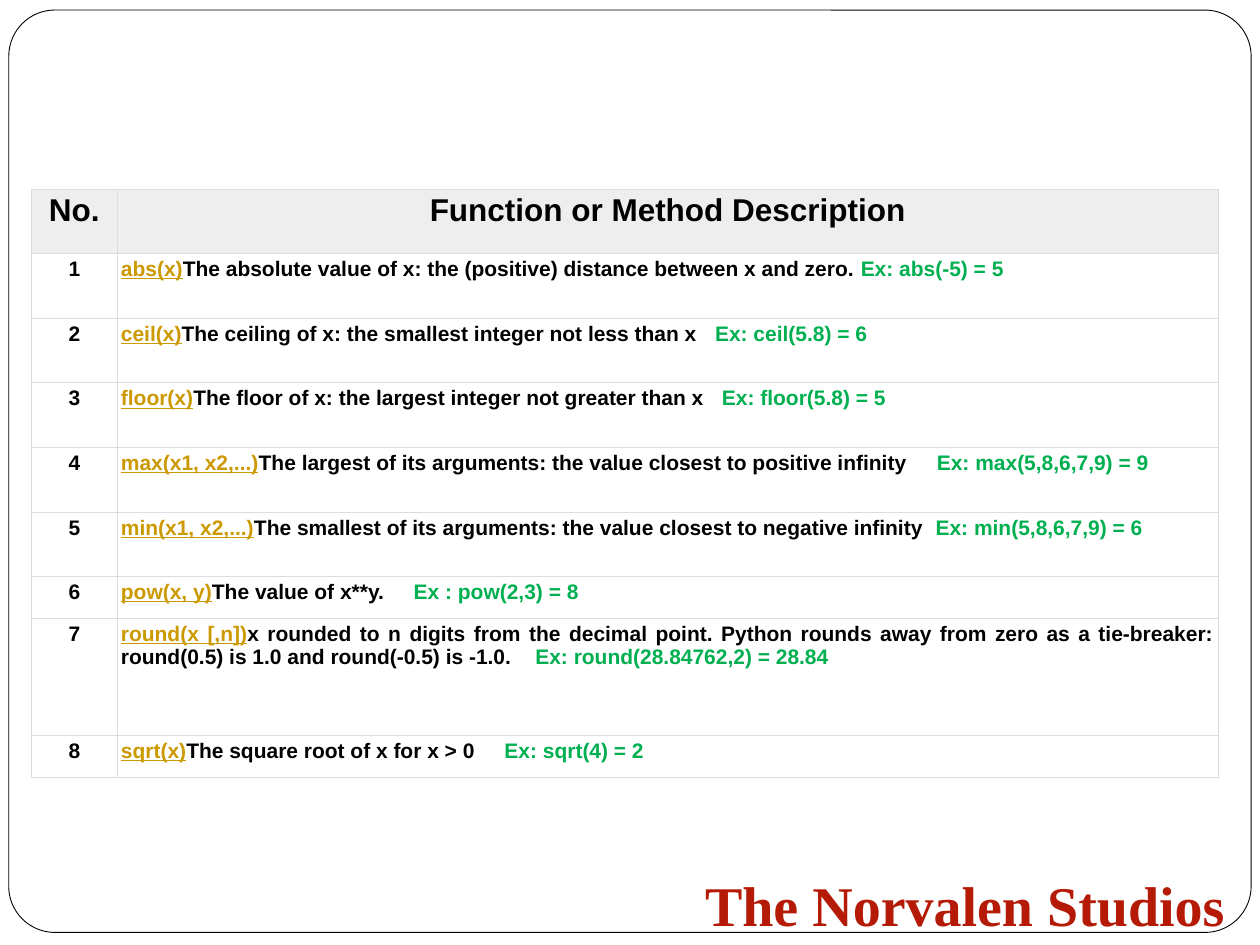
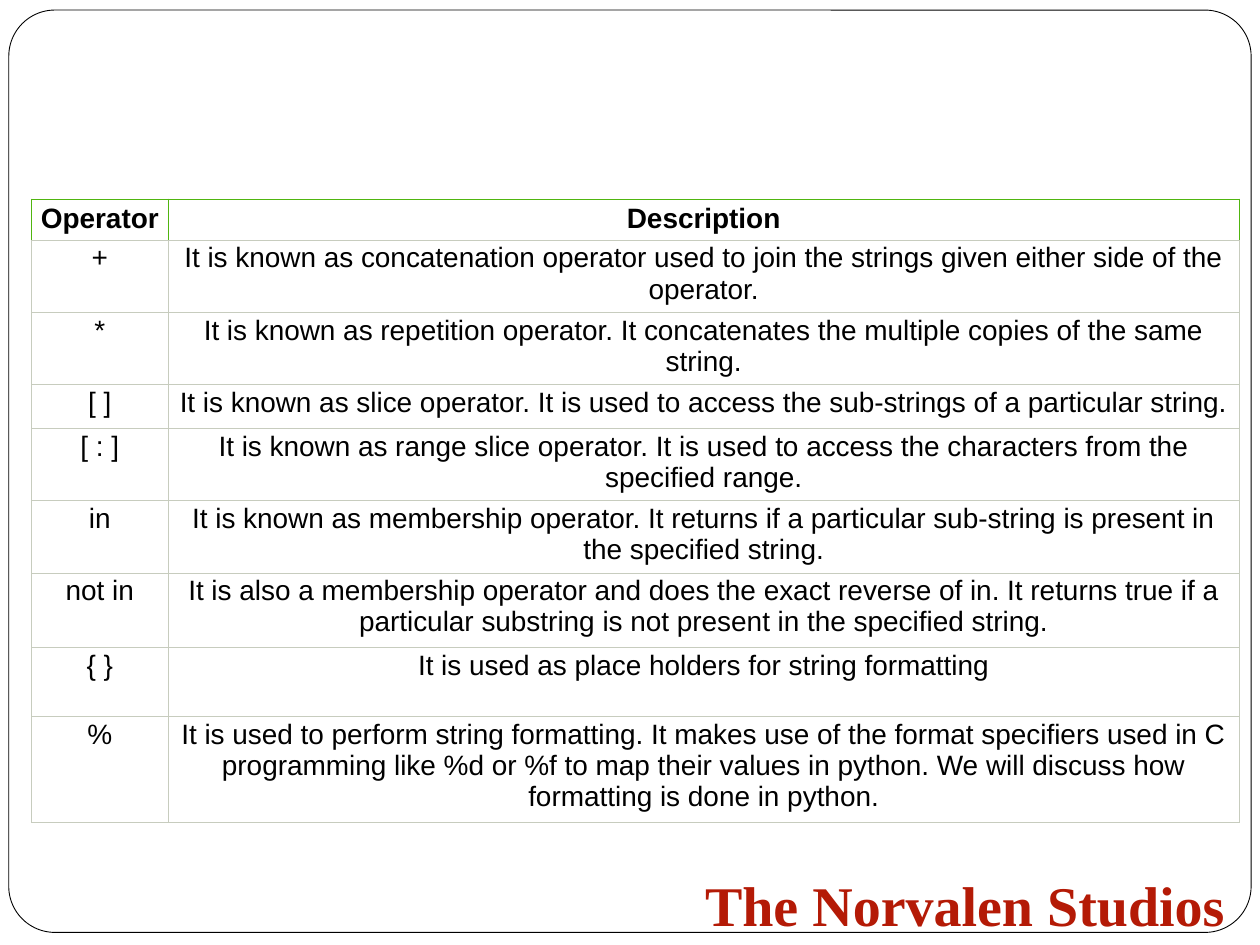
import pptx
import pptx.dml.color
import pptx.enum.shapes
import pptx.enum.text
import pptx.oxml.ns
import pptx.util
from lxml import etree

RGBColor = pptx.dml.color.RGBColor
ALIGN = pptx.enum.text.PP_ALIGN

BLACK = RGBColor(0x00, 0x00, 0x00)
WHITE = RGBColor(0xFF, 0xFF, 0xFF)
BRAND_RED = RGBColor(0xB4, 0x1A, 0x06)
FUNCTION_GOLD = RGBColor(0xCC, 0x99, 0x00)
EXAMPLE_GREEN = RGBColor(0x00, 0xB0, 0x50)
HEADER_GREY = RGBColor(0xEE, 0xEE, 0xEE)
RULE_GREY = RGBColor(0xDD, 0xDD, 0xDD)
RULE_SAGE = RGBColor(0xC7, 0xCC, 0xBE)
RULE_GREEN = RGBColor(0x50, 0xB5, 0x10)

SLIDE_WIDTH = pptx.util.Inches(10)
SLIDE_HEIGHT = pptx.util.Inches(7.5)
GRID_COLUMNS = 100
UNIT = SLIDE_WIDTH / GRID_COLUMNS
TABLE_LEFT = 2.5
RULE_WIDTH = pptx.util.Pt(0.6)
SPACE_SHARE = 0.28
BODY_FONT = "Arial"
FOOTER_FONT = "Times New Roman"
FOOTER_TEXT = "The Norvalen Studios"

FUNCTION_HEADINGS = ("No.", "Function or Method Description")
FUNCTIONS = [
    ("abs(x)", "The absolute value of x: the (positive) distance between x and zero.", 1, "Ex: abs(-5) = 5"),
    ("ceil(x)", "The ceiling of x: the smallest integer not less than x", 3, "Ex: ceil(5.8) = 6"),
    ("floor(x)", "The floor of x: the largest integer not greater than x", 3, "Ex: floor(5.8) = 5"),
    ("max(x1, x2,...)", "The largest of its arguments: the value closest to positive infinity", 5,
     "Ex: max(5,8,6,7,9) = 9"),
    ("min(x1, x2,...)", "The smallest of its arguments: the value closest to negative infinity", 2,
     "Ex: min(5,8,6,7,9) = 6"),
    ("pow(x, y)", "The value of x**y.", 5, "Ex : pow(2,3) = 8"),
    ("round(x [,n])", "x rounded to n digits from the decimal point. Python rounds away from zero "
     "as a tie-breaker: round(0.5) is 1.0 and round(-0.5) is -1.0.", 4, "Ex: round(28.84762,2) = 28.84"),
    ("sqrt(x)", "The square root of x for x > 0", 5, "Ex: sqrt(4) = 2"),
]

OPERATOR_HEADINGS = ("Operator", "Description")
OPERATORS = [
    ("+", "It is known as concatenation operator used to join the strings given either side of the operator."),
    ("*", "It is known as repetition operator. It concatenates the multiple copies of the same string."),
    ("[ ]", "It is known as slice operator. It is used to access the sub-strings of a particular string."),
    ("[ : ]", "It is known as range slice operator. It is used to access the characters from the specified range."),
    ("in", "It is known as membership operator. It returns if a particular sub-string is present in "
     "the specified string."),
    ("not in", "It is also a membership operator and does the exact reverse of in. It returns true if a "
     "particular substring is not present in the specified string."),
    ("{ }", "It is used as place holders for string formatting"),
    ("%", "It is used to perform string formatting. It makes use of the format specifiers used in C "
     "programming like %d or %f to map their values in python. We will discuss how formatting is done in python."),
]


def grid(*counts):
    return [round(count * UNIT) for count in counts]


def format_run(run, size, color=BLACK, bold=False, underline=False, font=BODY_FONT):
    run.font.name = font
    run.font.size = pptx.util.Pt(size)
    run.font.bold = bold
    run.font.underline = underline
    run.font.color.rgb = color


def add_run(paragraph, text, size, **style):
    run = paragraph.add_run()
    run.text = text
    format_run(run, size, **style)
    return run


def add_gap(paragraph, spaces, size):
    run = add_run(paragraph, " ", size, bold=True)
    extra_points = (spaces - 1) * SPACE_SHARE * size
    run.font._element.set("spc", str(round(extra_points * 100)))


def add_frame(slide):
    frame = slide.shapes.add_shape(
        pptx.enum.shapes.MSO_SHAPE.ROUNDED_RECTANGLE, *grid(0.7, 0.8, 98.6, 73.2))
    frame.adjustments[0] = 0.05
    frame.shadow.inherit = False
    frame.fill.solid()
    frame.fill.fore_color.rgb = WHITE
    frame.line.color.rgb = BLACK
    frame.line.width = pptx.util.Pt(0.5)


def add_footer(slide):
    footer = slide.shapes.add_textbox(*grid(53.2, 68.6, 46.8, 6.4))
    footer.text_frame.word_wrap = True
    paragraph = footer.text_frame.paragraphs[0]
    paragraph.text = FOOTER_TEXT
    paragraph.alignment = ALIGN.CENTER
    format_run(paragraph.runs[0], 32, color=BRAND_RED, bold=True, font=FOOTER_FONT)


def add_framed_slide(presentation):
    slide = presentation.slides.add_slide(presentation.slide_layouts[6])
    add_frame(slide)
    add_footer(slide)
    return slide


def set_borders(cell, colors):
    properties = cell._tc.get_or_add_tcPr()
    for side, color in zip("LRTB", colors):
        line = etree.SubElement(properties, pptx.oxml.ns.qn(f"a:ln{side}"), w=str(RULE_WIDTH))
        fill = etree.SubElement(line, pptx.oxml.ns.qn("a:solidFill"))
        etree.SubElement(fill, pptx.oxml.ns.qn("a:srgbClr"), val=str(color))


def style_cell(cell, borders, fill, margin):
    set_borders(cell, borders)
    cell.fill.solid()
    cell.fill.fore_color.rgb = fill
    inset = pptx.util.Inches(margin)
    cell.margin_left = cell.margin_right = cell.margin_top = cell.margin_bottom = inset


def write_cell(cell, text, size, bold):
    paragraph = cell.text_frame.paragraphs[0]
    paragraph.text = text
    paragraph.alignment = ALIGN.CENTER
    format_run(paragraph.runs[0], size, bold=bold)


def add_plain_table(slide, top, widths, heights):
    table = slide.shapes.add_table(
        len(heights), len(widths), *grid(TABLE_LEFT, top, sum(widths), sum(heights))).table
    table.first_row = table.horz_banding = False
    for column, width in zip(table.columns, grid(*widths)):
        column.width = width
    for row, height in zip(table.rows, grid(*heights)):
        row.height = height
    return table


def write_headings(table, headings, size):
    for column, heading in enumerate(headings):
        write_cell(table.cell(0, column), heading, size, bold=True)


def write_function(cell, name, description, gap, example):
    paragraph = cell.text_frame.paragraphs[0]
    paragraph.alignment = ALIGN.JUSTIFY
    add_run(paragraph, name, 12, color=FUNCTION_GOLD, bold=True, underline=True)
    add_run(paragraph, description, 12, bold=True)
    add_gap(paragraph, gap, 12)
    add_run(paragraph, example, 12, color=EXAMPLE_GREEN, bold=True)


def add_functions_slide(presentation):
    slide = add_framed_slide(presentation)
    table = add_plain_table(slide, 15, [6.8, 87.4], [5.13] * 6 + [3.3, 9.3, 3.3])
    for index, row in enumerate(table.rows):
        for cell in row.cells:
            style_cell(cell, [RULE_GREY] * 4, WHITE if index else HEADER_GREY, 0.03)
    write_headings(table, FUNCTION_HEADINGS, 18)
    for number, function in enumerate(FUNCTIONS, start=1):
        write_cell(table.cell(number, 0), str(number), 12, bold=True)
        write_function(table.cell(number, 1), *function)


def add_operators_slide(presentation):
    slide = add_framed_slide(presentation)
    heights = [3.15, 5.65, 5.65, 3.5, 5.65, 5.65, 5.9, 5.5, 8.3]
    table = add_plain_table(slide, 15.8, [10.85, 85], heights)
    for index, row in enumerate(table.rows):
        outer = RULE_SAGE if index else RULE_GREEN
        for cell in row.cells:
            style_cell(cell, [outer] * 3 + [RULE_SAGE], WHITE, 0.02 if index else 0.03)
    write_headings(table, OPERATOR_HEADINGS, 16)
    for index, operator in enumerate(OPERATORS, start=1):
        for column, text in enumerate(operator):
            write_cell(table.cell(index, column), text, 16, bold=False)


def main():
    presentation = pptx.Presentation()
    presentation.slide_width = SLIDE_WIDTH
    presentation.slide_height = SLIDE_HEIGHT
    add_functions_slide(presentation)
    add_operators_slide(presentation)
    presentation.save("out.pptx")


if __name__ == "__main__":
    main()
